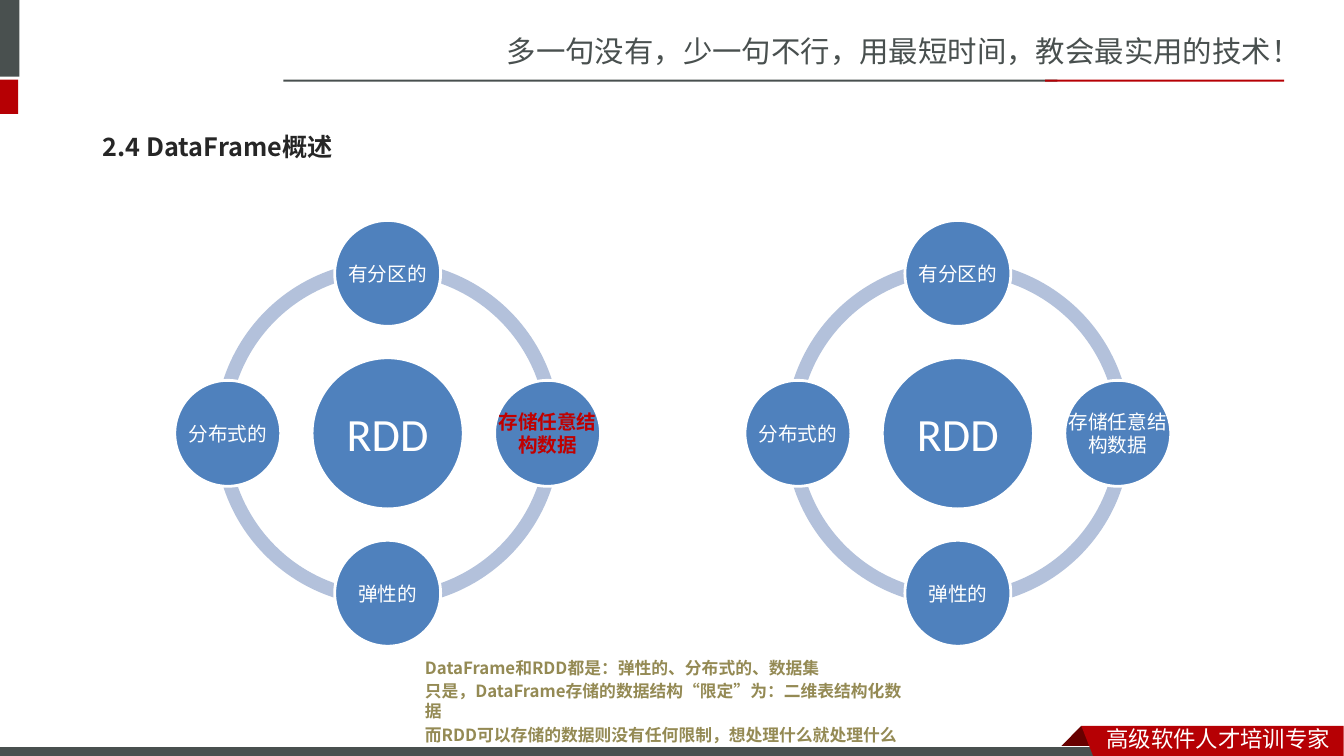
"""Build the DataFrame overview slide with two RDD cycle diagrams."""
import dataclasses
import math

import pptx
import pptx.dml.color
import pptx.enum.shapes
import pptx.enum.text
import pptx.util

Cm = pptx.util.Cm
Pt = pptx.util.Pt
SHAPE = pptx.enum.shapes.MSO_SHAPE
ALIGN = pptx.enum.text.PP_ALIGN
ANCHOR = pptx.enum.text.MSO_ANCHOR

COLOURS = {
    "slate": "49504F", "red": "B60004", "fold": "680000", "white": "FFFFFF",
    "ink": "262626", "ring": "B3C1DB", "disc": "4F81BD",
    "alert": "C00000", "olive": "948A54",
}
SANS_SC = "Noto Sans CJK SC"
SANS_JP = "Noto Sans CJK JP"
RING_SIZE, RING_BAND = 8.71, 0.04
ORBIT, NODE_SIZE, HUB_SIZE = 4.03, 2.67, 3.81
CYCLE_MIDDLE = 10.92
NODES = ("有分区的", "存储任意结构数据", "弹性的", "分布式的")
NOTES = (
    "DataFrame和RDD都是：弹性的、分布式的、数据集",
    "只是，DataFrame存储的数据结构“限定”为：二维表结构化数据",
    "而RDD可以存储的数据则没有任何限制，想处理什么就处理什么",
)


@dataclasses.dataclass(frozen=True)
class Area:
    """A rectangle in centimetres."""
    left: float
    top: float
    width: float
    height: float

    def lengths(self) -> tuple:
        """Return the four sides as lengths."""
        return tuple(Cm(side) for side in dataclasses.astuple(self))


@dataclasses.dataclass(frozen=True)
class Style:
    """The look of a text."""
    font: str
    size: float
    colour: str
    bold: bool = False


@dataclasses.dataclass(frozen=True)
class Bar:
    """A filled bar of the page frame."""
    area: Area
    colour: str
    outlined: bool = False


@dataclasses.dataclass(frozen=True)
class Cycle:
    """A ring of labelled discs around a hub."""
    centre: float
    highlighted: str = ""


BARS = (
    Bar(Area(-0.15, 0, 0.64, 1.93), "slate"),
    Bar(Area(-0.15, 2.01, 0.61, 0.86), "red"),
    Bar(Area(7.14, 2.01, 19.51, 0.05), "slate"),
    Bar(Area(26.34, 2.01, 6.02, 0.05), "red"),
)
FOOTER = Bar(Area(-0.03, 18.82, 27.94, 0.3), "slate", outlined=True)
FOLD = ((27.25, 18.29), (27.81, 18.85), (27.79, 18.87), (26.72, 18.87), (26.7, 18.85))
RIBBON = ((27.25, 18.29), (33.86, 18.29), (33.86, 19.15), (27.58, 19.13))
CYCLES = (Cycle(9.77, highlighted="存储任意结构数据"), Cycle(24.14))


def colour_of(name: str) -> pptx.dml.color.RGBColor:
    """Return a named colour."""
    return pptx.dml.color.RGBColor.from_string(COLOURS[name])


def paint(shape, colour: str, outline: float = 0) -> None:
    """Fill a shape and give it a white outline or none."""
    shape.shadow.inherit = False
    shape.fill.solid()
    shape.fill.fore_color.rgb = colour_of(colour)
    if outline:
        shape.line.color.rgb = colour_of("white")
        shape.line.width = Pt(outline)
    else:
        shape.line.fill.background()


def write(frame, lines: tuple, style: Style, align=ALIGN.LEFT) -> None:
    """Write styled paragraphs into a text frame."""
    frame.word_wrap = True
    for index, line in enumerate(lines):
        para = frame.add_paragraph() if index else frame.paragraphs[0]
        para.text = line
        para.alignment = align
        para.space_before = Pt(0.2 * style.size if index else 0)
        para.font.name = style.font
        para.font.size = Pt(style.size)
        para.font.bold = style.bold
        para.font.color.rgb = colour_of(style.colour)


def add_text(page, area: Area, lines: tuple, style: Style, anchor=ANCHOR.TOP,
             align=ALIGN.LEFT, inset: float | None = None) -> None:
    """Add a text box."""
    frame = page.shapes.add_textbox(*area.lengths()).text_frame
    frame.vertical_anchor = anchor
    if inset is not None:
        frame.margin_left = frame.margin_right = Cm(inset)
        frame.margin_top = frame.margin_bottom = Cm(inset)
    write(frame, lines, style, align)


def add_bar(page, bar: Bar) -> None:
    """Add one bar of the page frame."""
    shape = page.shapes.add_shape(SHAPE.RECTANGLE, *bar.area.lengths())
    paint(shape, bar.colour, 0.75 if bar.outlined else 0)


def add_outline(page, corners: tuple, colour: str) -> None:
    """Add a filled polygon."""
    start, *others = [(Cm(x), Cm(y)) for x, y in corners]
    builder = page.shapes.build_freeform(*start)
    builder.add_line_segments(others, close=True)
    paint(builder.convert_to_shape(), colour)


def square_around(x: float, y: float, size: float) -> Area:
    """Return a square centred on a point."""
    return Area(x - size / 2, y - size / 2, size, size)


def add_disc(page, area: Area, label: str, style: Style, inset: float) -> None:
    """Add a disc with its label, which may span the full width."""
    paint(page.shapes.add_shape(SHAPE.OVAL, *area.lengths()), "disc", 2)
    add_text(page, area, (label,), style, ANCHOR.MIDDLE, ALIGN.CENTER, inset)


def add_cycle(page, cycle: Cycle) -> None:
    """Add a ring of four arcs, its hub and its four nodes."""
    ring = square_around(cycle.centre, CYCLE_MIDDLE, RING_SIZE)
    for quarter in range(4):
        arc = page.shapes.add_shape(SHAPE.BLOCK_ARC, *ring.lengths())
        arc.adjustments[0] = (quarter + 3) % 4 * 54
        arc.adjustments[1] = quarter * 54
        arc.adjustments[2] = RING_BAND
        paint(arc, "ring")
    hub = square_around(cycle.centre, CYCLE_MIDDLE, HUB_SIZE)
    add_disc(page, hub, "RDD", Style("Calibri", 33, "white"), 0.12)
    for index, label in enumerate(NODES):
        angle = index * math.pi / 2
        area = square_around(cycle.centre + ORBIT * math.sin(angle),
                             CYCLE_MIDDLE - ORBIT * math.cos(angle), NODE_SIZE)
        marked = label == cycle.highlighted
        style = Style("Calibri", 14, "alert" if marked else "white", marked)
        add_disc(page, area, label, style, 0.05)


def main() -> None:
    """Build and save the deck."""
    deck = pptx.Presentation()
    deck.slide_width, deck.slide_height = Cm(33.87), Cm(19.05)
    page = deck.slides.add_slide(deck.slide_layouts.get_by_name("Title Only"))

    title = page.shapes.title
    title.left, title.top, title.width, title.height = Area(2.34, 2.97, 29.87, 1.45).lengths()
    title.text_frame.vertical_anchor = ANCHOR.MIDDLE
    write(title.text_frame, ("2.4 DataFrame概述",), Style(SANS_JP, 18, "ink", True))

    add_text(page, Area(12.52, 0.71, 21.36, 1.19),
             ("多一句没有，少一句不行，用最短时间，教会最实用的技术！",), Style(SANS_SC, 21, "slate"))
    for bar in BARS:
        add_bar(page, bar)
    add_outline(page, FOLD, "fold")
    add_bar(page, FOOTER)
    add_outline(page, RIBBON, "red")
    add_text(page, Area(27.64, 18.16, 6.22, 0.94), ("高级软件人才培训专家",),
             Style(SANS_SC, 16, "white"))
    for cycle in CYCLES:
        add_cycle(page, cycle)
    add_text(page, Area(10.46, 16.28, 12.93, 2.77), NOTES,
             Style(SANS_JP, 12, "olive", True), ANCHOR.MIDDLE)
    deck.save("out.pptx")


if __name__ == "__main__":
    main()
